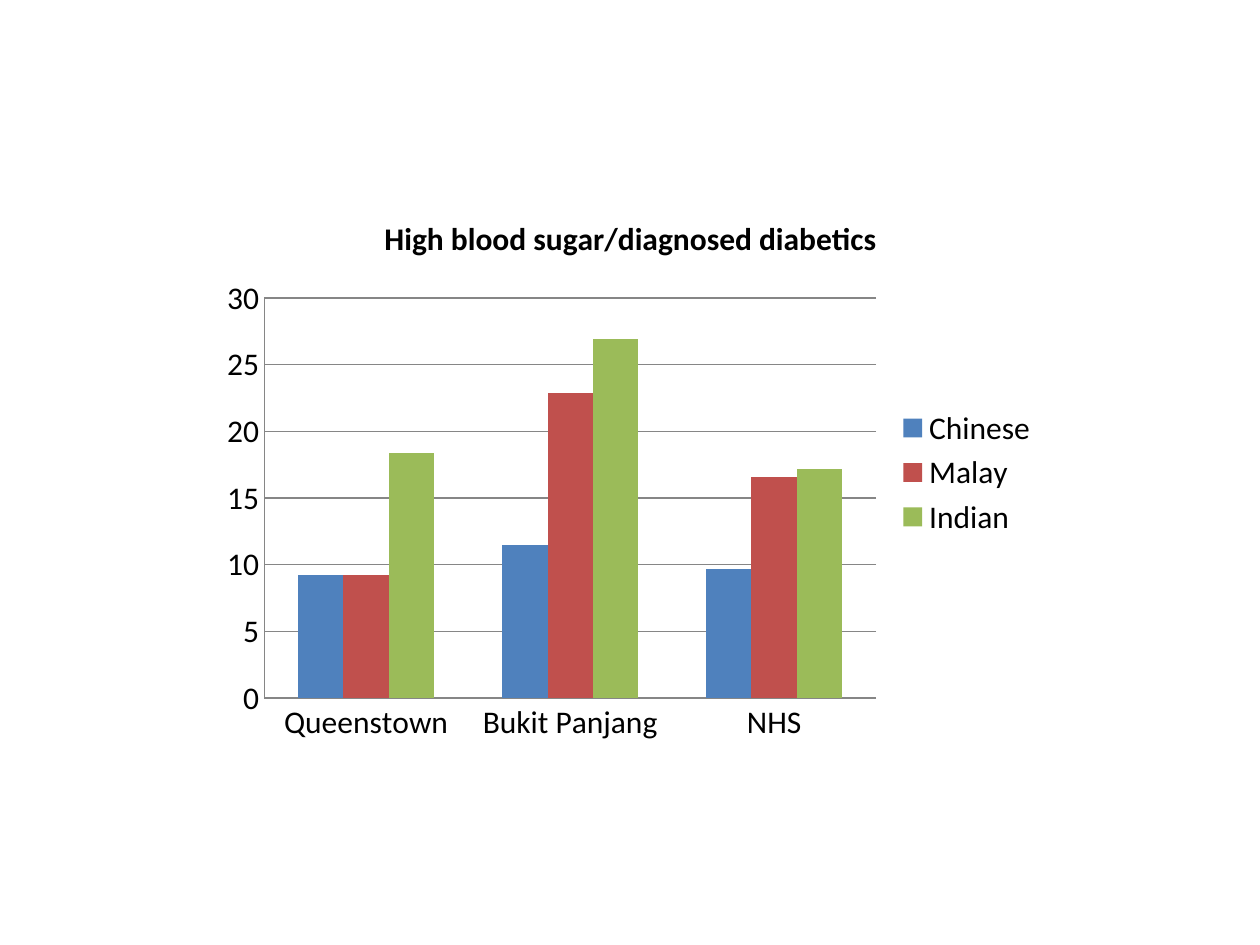
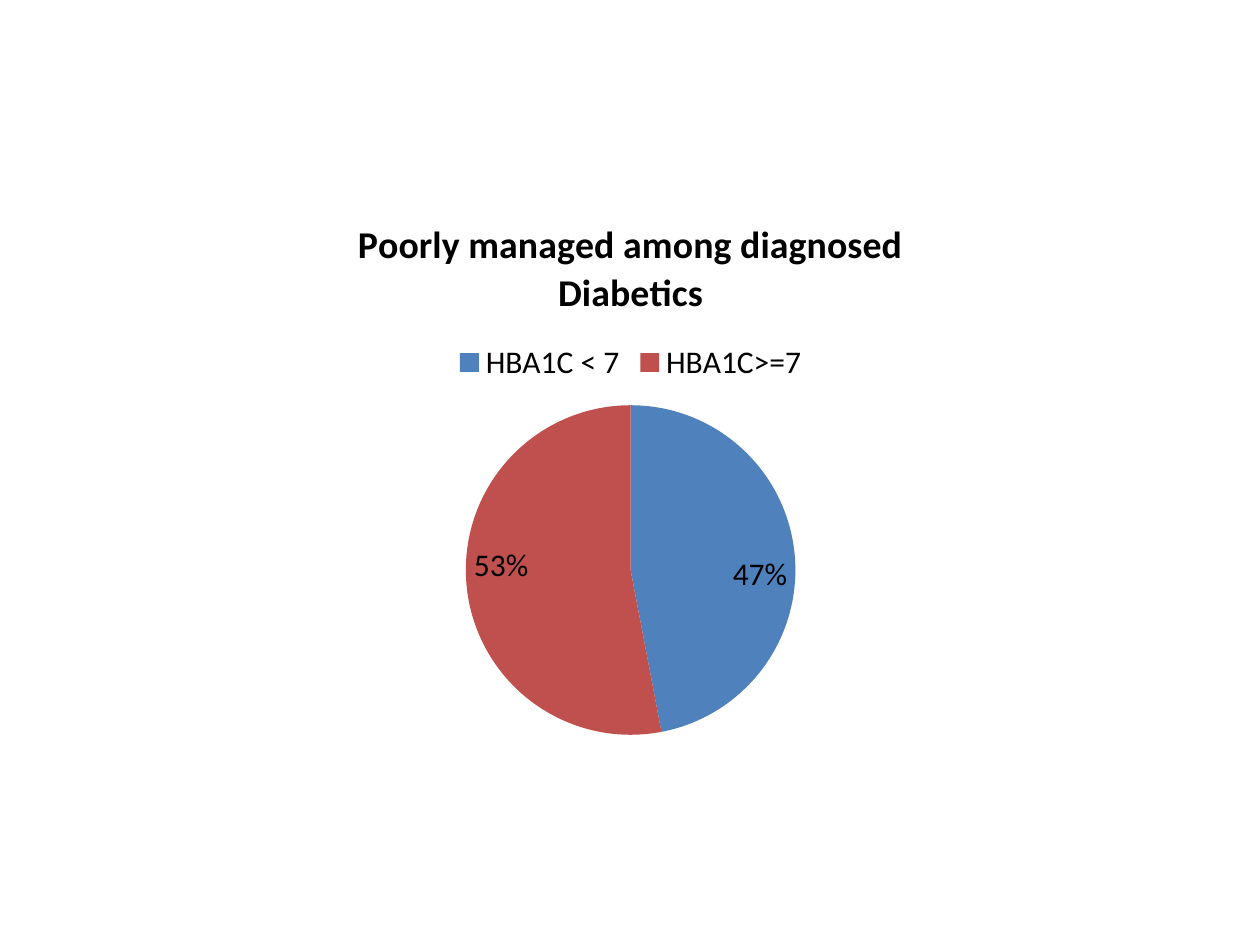
from pptx import Presentation
from pptx.chart.data import CategoryChartData
from pptx.dml.color import RGBColor
from pptx.enum import chart as ch
from pptx.util import Inches, Pt

COLORS = {"text": "000000", "rule": "868686", "background": "FFFFFF",
          "blue": "4F81BD", "red": "C0504D", "green": "9BBB59"}
PALETTE = ("blue", "red", "green")
FONT = "Calibri"
BODY_SIZE = 18
CHART_AREA = [Inches(n) for n in (1.67, 1.53, 6.67, 4.44)]

BLOOD_SUGAR = {
    "title": "High blood sugar/diagnosed diabetics",
    "title_size": 18,
    "kind": ch.XL_CHART_TYPE.COLUMN_CLUSTERED,
    "legend": ch.XL_LEGEND_POSITION.RIGHT,
    "categories": ["Queenstown", "Bukit Panjang", "NHS"],
    "series": {"Chinese": [9.2, 11.5, 9.7],
               "Malay": [9.2, 22.9, 16.6],
               "Indian": [18.4, 26.9, 17.2]},
}
MANAGEMENT = {
    "title": "Poorly managed among diagnosed Diabetics",
    "title_size": 21.6,
    "kind": ch.XL_CHART_TYPE.PIE,
    "legend": ch.XL_LEGEND_POSITION.TOP,
    "categories": ["HBA1C < 7", "HBA1C>=7"],
    "series": {"Poorly managed among diagnosed Diabetics": [47, 53]},
}


def rgb(name):
    return RGBColor.from_string(COLORS[name])


def apply(target, values):
    for key, value in values.items():
        setattr(target, key, value)


def style_font(font, size, bold=False):
    apply(font, {"name": FONT, "size": Pt(size), "bold": bold})
    font.color.rgb = rgb("text")


def style_line(line):
    line.color.rgb = rgb("rule")
    line.width = Pt(0.75)


def paint(parts):
    """Fill series or points with the palette, in order."""
    for part, color in zip(parts, PALETTE):
        part.format.fill.solid()
        part.format.fill.fore_color.rgb = rgb(color)


def add_titled_chart(deck, content):
    slide = deck.slides.add_slide(deck.slide_layouts[6])
    slide.background.fill.solid()
    slide.background.fill.fore_color.rgb = rgb("background")

    data = CategoryChartData()
    data.categories = content["categories"]
    for name, values in content["series"].items():
        data.add_series(name, values)
    chart = slide.shapes.add_chart(content["kind"], *CHART_AREA, data).chart
    style_font(chart.font, BODY_SIZE)

    chart.has_title = True
    heading = chart.chart_title.text_frame.paragraphs[0].add_run()
    heading.text = content["title"]
    style_font(heading.font, content["title_size"], bold=True)
    chart.chart_title.include_in_layout = False

    chart.has_legend = True
    apply(chart.legend, {"position": content["legend"], "include_in_layout": False})
    return chart


def finish_columns(chart):
    plot = chart.plots[0]
    apply(plot, {"gap_width": 150, "vary_by_categories": False})
    paint(plot.series)
    for axis in (chart.category_axis, chart.value_axis):
        apply(axis, {"major_tick_mark": ch.XL_TICK_MARK.NONE,
                     "minor_tick_mark": ch.XL_TICK_MARK.NONE})
        style_line(axis.format.line)
    apply(chart.value_axis, {"minimum_scale": 0, "maximum_scale": 30,
                             "major_unit": 5, "has_major_gridlines": True})
    style_line(chart.value_axis.major_gridlines.format.line)


def finish_pie(chart):
    plot = chart.plots[0]
    plot.vary_by_categories = True
    slices = plot.series[0]
    paint(slices.points[i] for i in range(len(MANAGEMENT["categories"])))
    labels = slices.data_labels
    apply(labels, {"show_percentage": True, "show_value": False,
                   "number_format": "0%", "number_format_is_linked": False,
                   "position": ch.XL_LABEL_POSITION.INSIDE_END})
    style_font(labels.font, BODY_SIZE)


def main():
    deck = Presentation()
    apply(deck, {"slide_width": Inches(10), "slide_height": Inches(7.5)})
    finish_columns(add_titled_chart(deck, BLOOD_SUGAR))
    finish_pie(add_titled_chart(deck, MANAGEMENT))
    deck.save("out.pptx")


if __name__ == "__main__":
    main()
